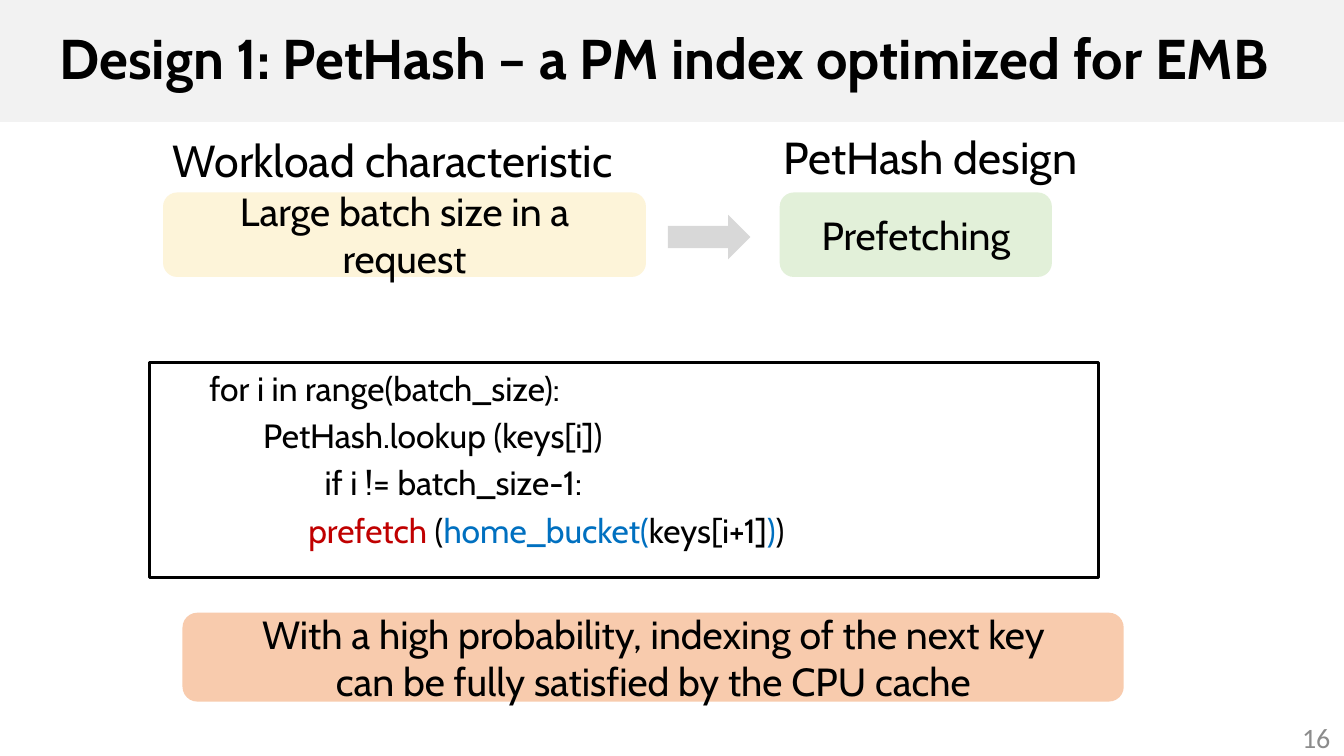
from pptx import Presentation
from pptx.dml.color import RGBColor
from pptx.enum.shapes import MSO_SHAPE
from pptx.enum.text import MSO_ANCHOR, MSO_AUTO_SIZE, PP_ALIGN
from pptx.util import Cm, Pt

BLACK = RGBColor(0x00, 0x00, 0x00)
GRAY = RGBColor(0x8C, 0x8C, 0x8C)
BAND = RGBColor(0xF2, 0xF2, 0xF2)
ARROW = RGBColor(0xD8, 0xD8, 0xD8)
CREAM = RGBColor(0xFD, 0xF4, 0xD9)
GREEN = RGBColor(0xE2, 0xF0, 0xD9)
ORANGE = RGBColor(0xF8, 0xCB, 0xAD)
RED = RGBColor(0xC0, 0x00, 0x00)
BLUE = RGBColor(0x00, 0x70, 0xC0)

# Each line of code: indent in cm, then its coloured pieces
CODE = [
    (1.27, [("for i in range(batch_size):", BLACK)]),
    (2.62, [("PetHash.lookup (keys[i])", BLACK)]),
    (4.17, [("if i != batch_size-1:", BLACK)]),
    (3.76, [("prefetch ", RED), ("(", BLACK), ("home_bucket(", BLUE),
            ("keys[i+1]", BLACK), (")", BLUE), (")", BLACK)]),
]


def format_run(r, size, color=BLACK, font="Cabin", bold=False):
    r.font.name = font
    r.font.size = Pt(size)
    r.font.bold = bold
    r.font.color.rgb = color


def add_title(slide, text, x, y, w, h):
    sp = slide.shapes.title
    sp.left, sp.top, sp.width, sp.height = Cm(x), Cm(y), Cm(w), Cm(h)
    sp.fill.solid()
    sp.fill.fore_color.rgb = BAND
    tf = sp.text_frame
    tf.text = text
    tf.auto_size = MSO_AUTO_SIZE.NONE
    tf.vertical_anchor = MSO_ANCHOR.MIDDLE
    tf.margin_left, tf.margin_right = Cm(1.5), Cm(0.25)
    tf.margin_top = tf.margin_bottom = 0
    p = tf.paragraphs[0]
    p.alignment = PP_ALIGN.LEFT
    p.line_spacing = 0.9
    format_run(p.runs[0], 40, bold=True)


def add_label(slide, text, x, y, w, h, size=32, align=PP_ALIGN.LEFT,
              anchor=MSO_ANCHOR.TOP, **font):
    tf = slide.shapes.add_textbox(Cm(x), Cm(y), Cm(w), Cm(h)).text_frame
    tf.text = text
    tf.word_wrap = True
    tf.vertical_anchor = anchor
    p = tf.paragraphs[0]
    p.alignment = align
    format_run(p.runs[0], size, **font)


def add_block(slide, kind, x, y, w, h, fill=None):
    """Add a shape without shadow or outline, filled if a colour is given."""
    sp = slide.shapes.add_shape(kind, Cm(x), Cm(y), Cm(w), Cm(h))
    sp.shadow.inherit = False
    sp.line.fill.background()
    if fill is None:
        sp.fill.background()
    else:
        sp.fill.solid()
        sp.fill.fore_color.rgb = fill
    return sp


def add_card(slide, text, x, y, w, h, fill):
    sp = add_block(slide, MSO_SHAPE.ROUNDED_RECTANGLE, x, y, w, h, fill)
    tf = sp.text_frame
    tf.text = text
    tf.word_wrap = True
    tf.vertical_anchor = MSO_ANCHOR.MIDDLE
    tf.margin_top = tf.margin_bottom = Cm(0.1)
    for p in tf.paragraphs:
        p.alignment = PP_ALIGN.CENTER
        format_run(p.runs[0], 28)


def add_mapping(slide, x, y, h):
    """Place the workload card, the arrow and the design card in one row."""
    add_label(slide, "Workload characteristic", x, y - 1.63, 12.29, 1.63)
    add_card(slide, "Large batch size in a request", x, y, 12.17, h, CREAM)
    add_block(slide, MSO_SHAPE.RIGHT_ARROW, x + 12.72, y + h / 2 - 0.5,
              2.08, 1.12, ARROW)
    add_label(slide, "PetHash design", x + 15.39, y - 1.7, 10.69, 1.63)
    add_card(slide, "Prefetching", x + 15.54, y, 6.86, h, GREEN)


def add_code(slide, lines, x, y, w, h):
    sp = add_block(slide, MSO_SHAPE.RECTANGLE, x, y, w, h)
    sp.line.color.rgb = BLACK
    sp.line.width = Pt(2.25)
    tf = sp.text_frame
    tf.word_wrap = True
    tf.vertical_anchor = MSO_ANCHOR.TOP
    for i, (indent, pieces) in enumerate(lines):
        p = tf.add_paragraph() if i else tf.paragraphs[0]
        p.alignment = PP_ALIGN.LEFT
        p.space_before = Pt(5)
        pPr = p._p.get_or_add_pPr()
        pPr.set("marL", str(Cm(indent)))
        pPr.set("indent", "0")
        for text, color in pieces:
            r = p.add_run()
            r.text = text
            format_run(r, 24, color)


def main():
    prs = Presentation()
    prs.slide_width, prs.slide_height = Cm(33.87), Cm(19.05)
    slide = prs.slides.add_slide(prs.slide_layouts[5])
    add_title(slide, "Design 1: PetHash – a PM index optimized for EMB",
              0, 0, 33.87, 3.07)
    add_label(slide, "16", 26.16, 18.08, 7.62, 1.02, 20, PP_ALIGN.RIGHT,
              MSO_ANCHOR.MIDDLE, color=GRAY, font="Calibri")
    add_mapping(slide, 4.11, 4.85, 2.13)
    add_code(slide, CODE, 3.76, 9.14, 23.93, 5.41)
    add_card(slide, "With a high probability, indexing of the next key\n"
             "can be fully satisfied by the CPU cache",
             4.6, 15.44, 23.72, 2.24, ORANGE)
    prs.save("out.pptx")


if __name__ == "__main__":
    main()
